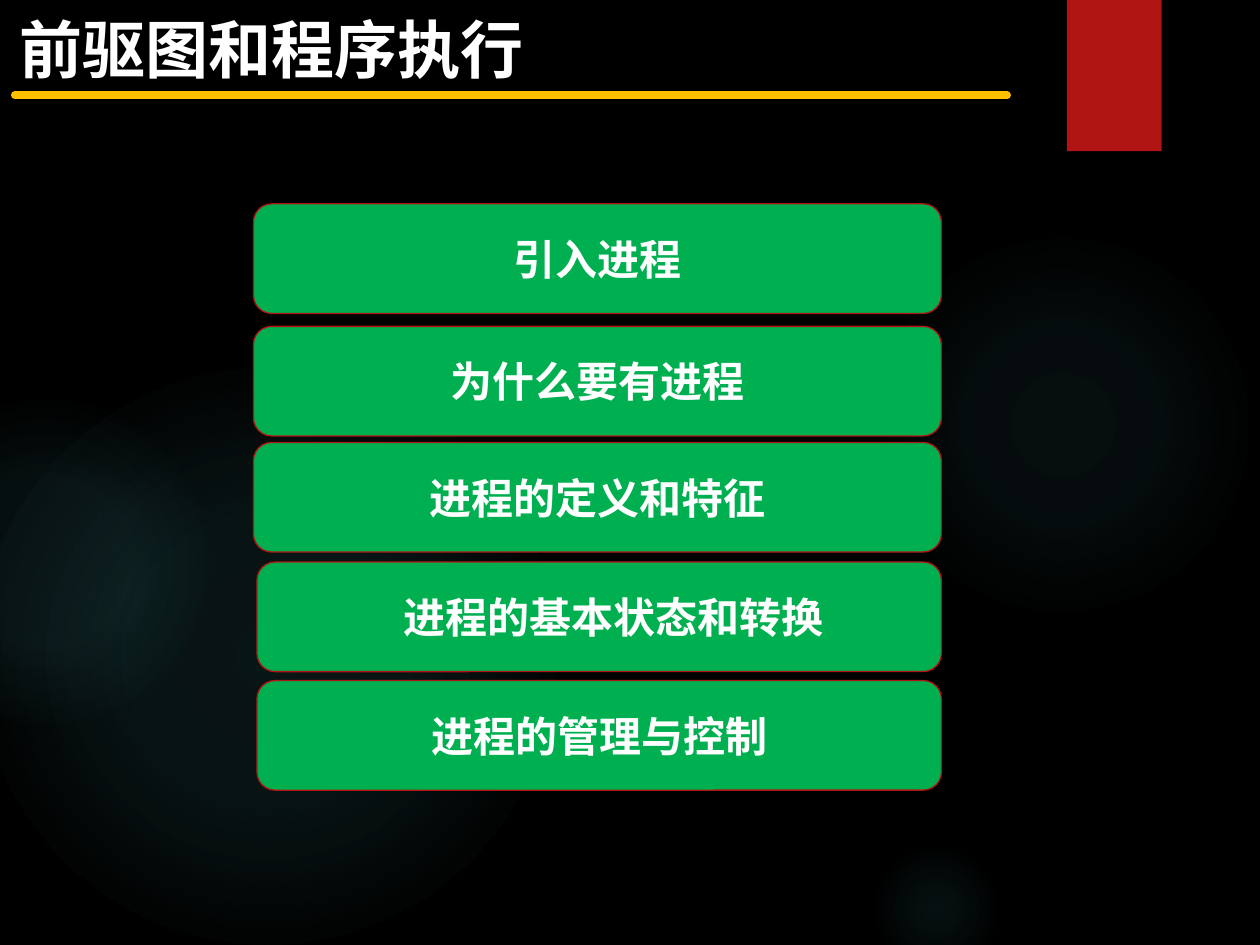
from lxml import etree
from pptx import Presentation
from pptx import util as u
from pptx.dml.color import RGBColor
from pptx.enum import shapes, text
from pptx.oxml import parse_xml
from pptx.oxml.ns import nsdecls, qn

FONT = "Noto Sans CJK SC"
COLOURS = {
    "background": "000000",
    "glow": "50B9C1",
    "ribbon": "B01513",
    "rule": "FFC000",
    "topic": "00B050",
    "text": "FFFFFF",
}
GLOWS = [
    (17.5, 4.65, 7.82, [(0, 7), (36, 6), (69, 0)]),
    (17.5, 16.94, 2.74, [(0, 9), (36, 5), (66, 0)]),
    (-0.43, 7.42, 11.63, [(0, 11), (36, 10), (75, 0)]),
    (-2.34, 8.05, 6.55, [(0, 8), (36, 8), (72, 0)]),
]
TOPICS = [
    ("引入进程", 5.11, 4.11, 0),
    ("为什么要有进程", 5.11, 6.58, 0),
    ("进程的定义和特征", 5.11, 8.92, 0),
    ("进程的基本状态和转换", 5.18, 11.33, 0.56),
    ("进程的管理与控制", 5.18, 13.72, 0),
]
TOPIC_RIGHT = 18.98
TOPIC_HEIGHT = 2.21


def colour(name):
    return RGBColor.from_string(COLOURS[name])


def add_block(page, kind, left, top, width, height, fill=None):
    block = page.shapes.add_shape(
        kind, u.Cm(left), u.Cm(top), u.Cm(width), u.Cm(height))
    block.shadow.inherit = False
    block.line.fill.background()
    if fill:
        block.fill.solid()
        block.fill.fore_color.rgb = colour(fill)
    return block


def add_glow(page, left, top, size, stops):
    glow = add_block(page, shapes.MSO_SHAPE.OVAL, left, top, size, size)
    stop_xml = "".join(
        f'<a:gs pos="{place * 1000}"><a:srgbClr val="{COLOURS["glow"]}">'
        f'<a:alpha val="{alpha * 1000}"/></a:srgbClr></a:gs>'
        for place, alpha in stops)
    gradient = parse_xml(
        f'<a:gradFill {nsdecls("a")}><a:gsLst>{stop_xml}</a:gsLst>'
        '<a:path path="circle"><a:fillToRect l="50000" t="50000" '
        'r="50000" b="50000"/></a:path></a:gradFill>')
    glow._element.spPr.find(qn("a:prstGeom")).addnext(gradient)


def add_rule(page, left, right, top):
    rule = page.shapes.add_connector(
        shapes.MSO_CONNECTOR.STRAIGHT,
        u.Cm(left), u.Cm(top), u.Cm(right), u.Cm(top))
    rule.line.color.rgb = colour("rule")
    rule.line.width = u.Pt(4.5)
    rule.line._get_or_add_ln().set("cap", "rnd")
    etree.SubElement(rule._element.spPr, qn("a:effectLst"))


def write(box, words, size):
    para = box.text_frame.paragraphs[0]
    para.text = words
    para.alignment = text.PP_ALIGN.CENTER
    para.font.name = FONT
    para.font.size = u.Pt(size)
    para.font.bold = True
    para.font.color.rgb = colour("text")
    defaults = para._p.pPr.find(qn("a:defRPr"))
    etree.SubElement(defaults, qn("a:ea"), typeface=FONT)


def add_title(page, words):
    box = page.shapes.add_textbox(u.Cm(0.03), u.Cm(0.08), u.Cm(10.87), u.Cm(1.8))
    box.text_frame.word_wrap = True
    write(box, words, 36)


def add_topic(page, words, left, top, indent):
    box = add_block(page, shapes.MSO_SHAPE.ROUNDED_RECTANGLE,
                    left, top, TOPIC_RIGHT - left, TOPIC_HEIGHT, "topic")
    box.line.color.rgb = colour("ribbon")
    box.line.width = u.Pt(0.75)
    frame = box.text_frame
    frame.vertical_anchor = text.MSO_ANCHOR.MIDDLE
    frame.margin_left += u.Cm(indent)
    write(box, words, 24)


def main():
    deck = Presentation()
    deck.slide_width, deck.slide_height = u.Cm(25.4), u.Cm(19.05)
    page = deck.slides.add_slide(deck.slide_layouts[6])
    page.background.fill.solid()
    page.background.fill.fore_color.rgb = colour("background")
    for glow in GLOWS:
        add_glow(page, *glow)
    add_block(page, shapes.MSO_SHAPE.RECTANGLE, 21.51, 0, 1.91, 3.05, "ribbon")
    add_rule(page, 0.3, 20.3, 1.92)
    add_title(page, "前驱图和程序执行")
    for topic in reversed(TOPICS):
        add_topic(page, *topic)
    deck.save("out.pptx")


if __name__ == "__main__":
    main()
